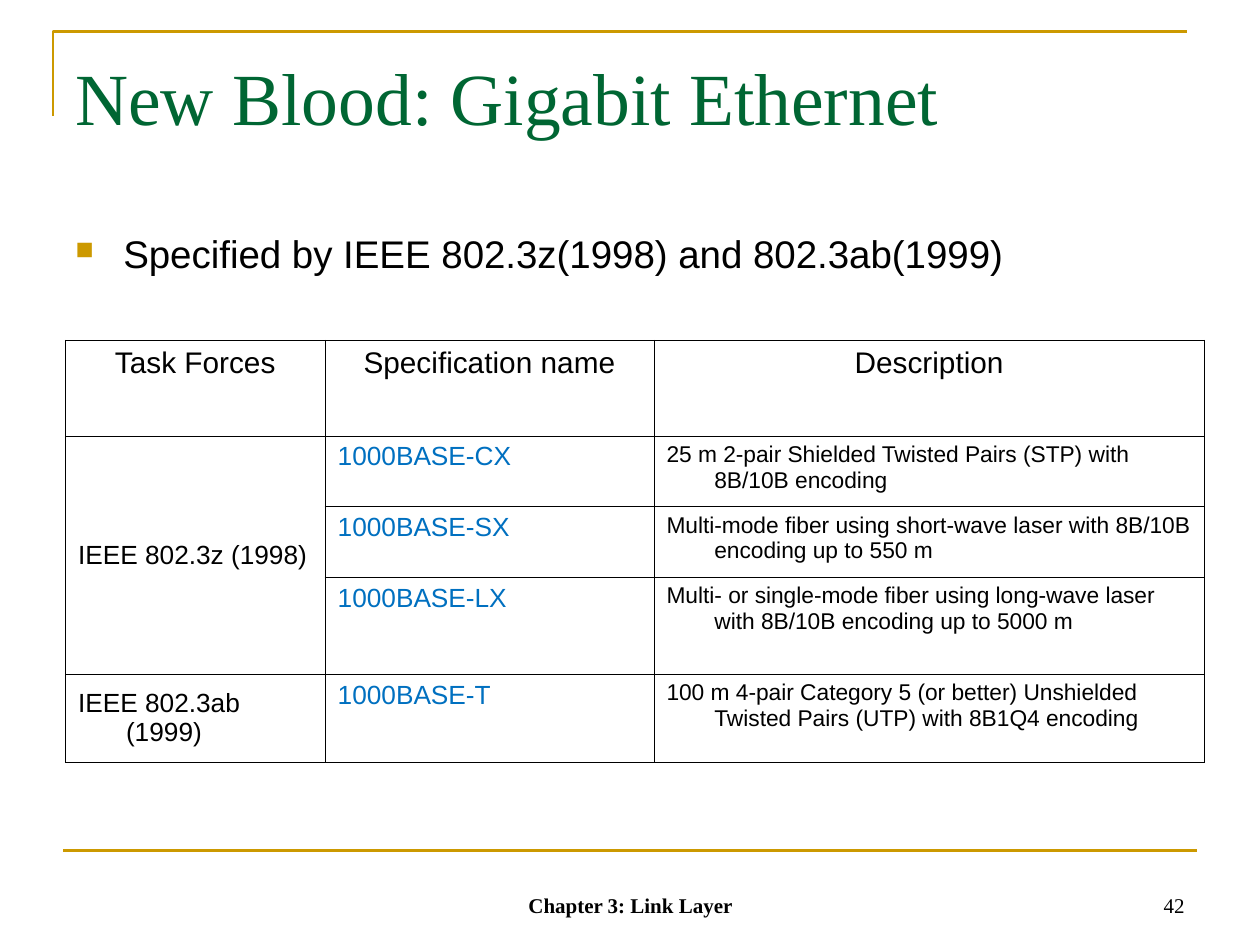
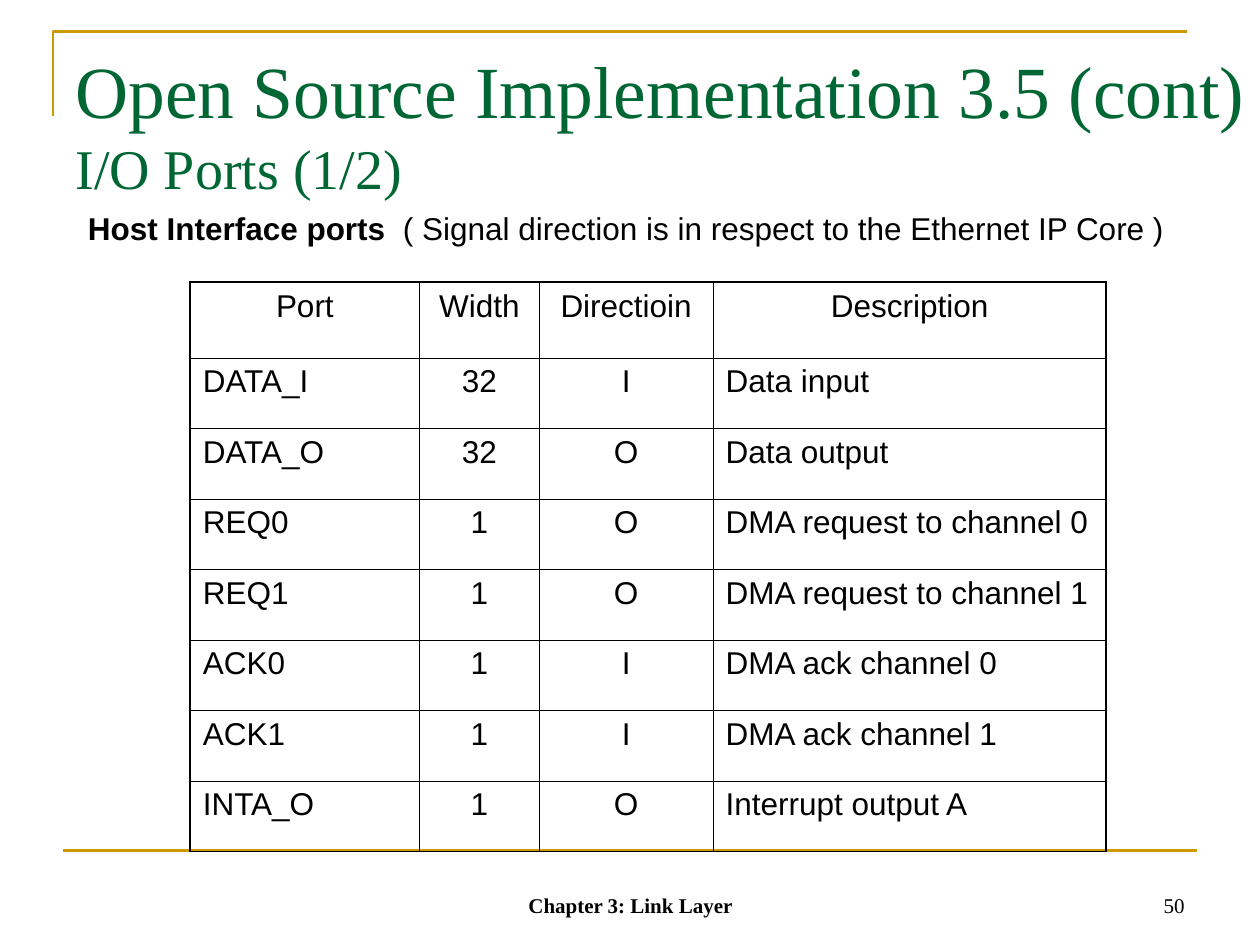
"""Build two link layer slides: a Gigabit Ethernet table and a port table."""
from lxml import etree
from pptx import Presentation
from pptx import util as u
from pptx.dml.color import RGBColor
from pptx.enum import shapes, text
from pptx.oxml import ns

INK = {"gold": "CC9900", "green": "006633", "black": "000000", "blue": "0070C0"}
SERIF, SANS = "Times New Roman", "Arial"
LEFT, MID, RIGHT = text.PP_ALIGN.LEFT, text.PP_ALIGN.CENTER, text.PP_ALIGN.RIGHT
TOP, CORE, BASE = (text.MSO_ANCHOR.TOP, text.MSO_ANCHOR.MIDDLE,
                   text.MSO_ANCHOR.BOTTOM)
HANG = 0.38
THIN, THICK = 0.45, 1.08

FORCES = [
    ["Task Forces", "Specification name", "Description"],
    ["IEEE 802.3z (1998)", "1000BASE-CX",
     "25 m 2-pair Shielded Twisted Pairs (STP) with 8B/10B encoding"],
    ["", "1000BASE-SX",
     "Multi-mode fiber using short-wave laser with 8B/10B encoding up to 550 m"],
    ["", "1000BASE-LX",
     "Multi- or single-mode fiber using long-wave laser with 8B/10B encoding up to 5000 m"],
    ["IEEE 802.3ab (1999)", "1000BASE-T",
     "100 m 4-pair Category 5 (or better) Unshielded Twisted Pairs (UTP) with 8B1Q4 encoding"],
]
PORTS = [
    ["Port", "Width", "Directioin", "Description"],
    ["DATA_I", "32", "I", "Data input"],
    ["DATA_O", "32", "O", "Data output"],
    ["REQ0", "1", "O", "DMA request to channel 0"],
    ["REQ1", "1", "O", "DMA request to channel 1"],
    ["ACK0", "1", "I", "DMA ack channel 0"],
    ["ACK1", "1", "I", "DMA ack channel 1"],
    ["INTA_O", "1", "O", "Interrupt output A"],
]


def tint(name):
    """Return a named colour."""
    return RGBColor.from_string(INK[name])


def style(run, size, face=SANS, ink="black", bold=False):
    """Format one run."""
    run.font.size, run.font.name, run.font.bold = u.Pt(size), face, bold
    run.font.color.rgb = tint(ink)


def hang(para):
    """Give a paragraph a hanging indent."""
    props = para._p.get_or_add_pPr()
    props.set("marL", str(u.Inches(HANG)))
    props.set("indent", str(-u.Inches(HANG)))
    return props


def add_text(slide, at, words, size, face=SANS, ink="black", bold=False,
             align=LEFT, anchor=TOP):
    """Add a wrapped text box and return its frame."""
    frame = slide.shapes.add_textbox(*map(u.Inches, at)).text_frame
    frame.word_wrap, frame.vertical_anchor = True, anchor
    frame.text = words
    for para in frame.paragraphs:
        para.alignment = align
        for run in para.runs:
            style(run, size, face, ink, bold)
    return frame


def add_bullet(slide, at, words):
    """Add a text box with one square bullet."""
    para = add_text(slide, at, words, 22).paragraphs[0]
    props = hang(para)
    color = etree.SubElement(props, ns.qn("a:buClr"))
    etree.SubElement(color, ns.qn("a:srgbClr"), val=INK["gold"])
    etree.SubElement(props, ns.qn("a:buSzPct"), val="65000")
    etree.SubElement(props, ns.qn("a:buChar"), char="■")


def add_frame(slide):
    """Draw the gold corner and the gold rule above the footer."""
    pen = slide.shapes.build_freeform(u.Inches(0.42), u.Inches(0.92), 1.0)
    pen.add_line_segments([(u.Inches(0.42), u.Inches(0.25)),
                           (u.Inches(9.42), u.Inches(0.25))], close=False)
    corner = pen.convert_to_shape()
    corner.shadow.inherit = False
    corner.fill.background()
    rule = slide.shapes.add_connector(
        shapes.MSO_CONNECTOR.STRAIGHT, *map(u.Inches, (0.5, 6.75, 9.5, 6.75)))
    etree.SubElement(rule._element.spPr, ns.qn("a:effectLst"))
    for item in (corner, rule):
        item.line.color.rgb = tint("gold")
        item.line.width = u.Pt(1.5)


def add_slide(deck, title, top, width, page):
    """Add a blank slide with frame, title and footer."""
    slide = deck.slides.add_slide(deck.slide_layouts[6])
    add_frame(slide)
    frame = add_text(slide, (0.5, top, width, 1.25), title, 42, SERIF, "green")
    for para in frame.paragraphs[1:]:
        para.runs[0].font.size = u.Pt(32)
    add_text(slide, (3.42, 6.83, 3.17, 0.5), "Chapter 3: Link Layer", 12, SERIF,
             bold=True, align=MID, anchor=BASE)
    add_text(slide, (7.17, 6.83, 2.33, 0.5), str(page), 12, SERIF,
             align=RIGHT, anchor=BASE)
    return slide


def edge(cell, widths):
    """Draw the left, right, top and bottom borders of a cell."""
    props = cell._tc.get_or_add_tcPr()
    for side, width in zip("LRTB", widths):
        line = etree.SubElement(props, ns.qn("a:ln" + side), w=str(u.Pt(width)))
        fill = etree.SubElement(line, ns.qn("a:solidFill"))
        etree.SubElement(fill, ns.qn("a:srgbClr"), val=INK["black"])


def add_grid(slide, at, cols, rows, data, look, rim=THIN):
    """Add a bordered table; look(row, col) gives size, ink, align, anchor."""
    size = (sum(cols), sum(rows))
    grid = slide.shapes.add_table(
        len(rows), len(cols), *map(u.Inches, (*at, *size))).table
    grid.first_row = grid.horz_banding = False
    for col, width in zip(grid.columns, cols):
        col.width = u.Inches(width)
    for row, height in zip(grid.rows, rows):
        row.height = u.Inches(height)
    for r, line in enumerate(data):
        for c, words in enumerate(line):
            cell = grid.cell(r, c)
            outer = (c == 0, c == len(cols) - 1, r == 0, r == len(rows) - 1)
            edge(cell, [rim if out else THIN for out in outer])
            cell.fill.background()
            points, ink, align, anchor = look(r, c)
            cell.vertical_anchor = anchor
            cell.text = words
            para = cell.text_frame.paragraphs[0]
            para.alignment = align
            for run in para.runs:
                style(run, points, ink=ink)
    return grid


def force_look(row, col):
    """Style the cells of the task force table."""
    if row == 0:
        return 17, "black", MID, TOP
    return [(15, "black", LEFT, CORE), (15, "blue", LEFT, TOP),
            (13, "black", LEFT, TOP)][col]


def port_look(row, col):
    """Style the cells of the port table."""
    return 18, "black", MID if row == 0 or col in (1, 2) else LEFT, TOP


def add_giga(deck):
    """Build the Gigabit Ethernet slide."""
    slide = add_slide(deck, "New Blood: Gigabit Ethernet", 0.36, 9, 42)
    add_bullet(slide, (0.5, 1.78, 9.05, 0.6),
               "Specified by IEEE 802.3z(1998) and 802.3ab(1999)")
    grid = add_grid(slide, (0.52, 2.7), (2.06, 2.61, 4.37),
                    (0.76, 0.56, 0.56, 0.77, 0.7), FORCES, force_look)
    for cell in grid.iter_cells():
        hang(cell.text_frame.paragraphs[0])
    grid.cell(1, 0).merge(grid.cell(3, 0))


def add_ports(deck):
    """Build the host interface ports slide."""
    slide = add_slide(
        deck, "Open Source Implementation 3.5 (cont)\nI/O Ports (1/2)", 0.31, 9.5, 50)
    frame = add_text(slide, (0.6, 1.61, 8.74, 0.7), "Host Interface ports", 18,
                     bold=True)
    note = frame.paragraphs[0].add_run()
    note.text = "  ( Signal direction is in respect to the Ethernet IP Core )"
    style(note, 18)
    add_grid(slide, (1.51, 2.24), (1.82, 0.95, 1.38, 3.12),
             [0.6] + [0.56] * 7, PORTS, port_look, THICK)


def main():
    """Build and save the deck."""
    deck = Presentation()
    deck.slide_width, deck.slide_height = u.Inches(10), u.Inches(7.5)
    add_giga(deck)
    add_ports(deck)
    deck.save("out.pptx")


if __name__ == "__main__":
    main()
